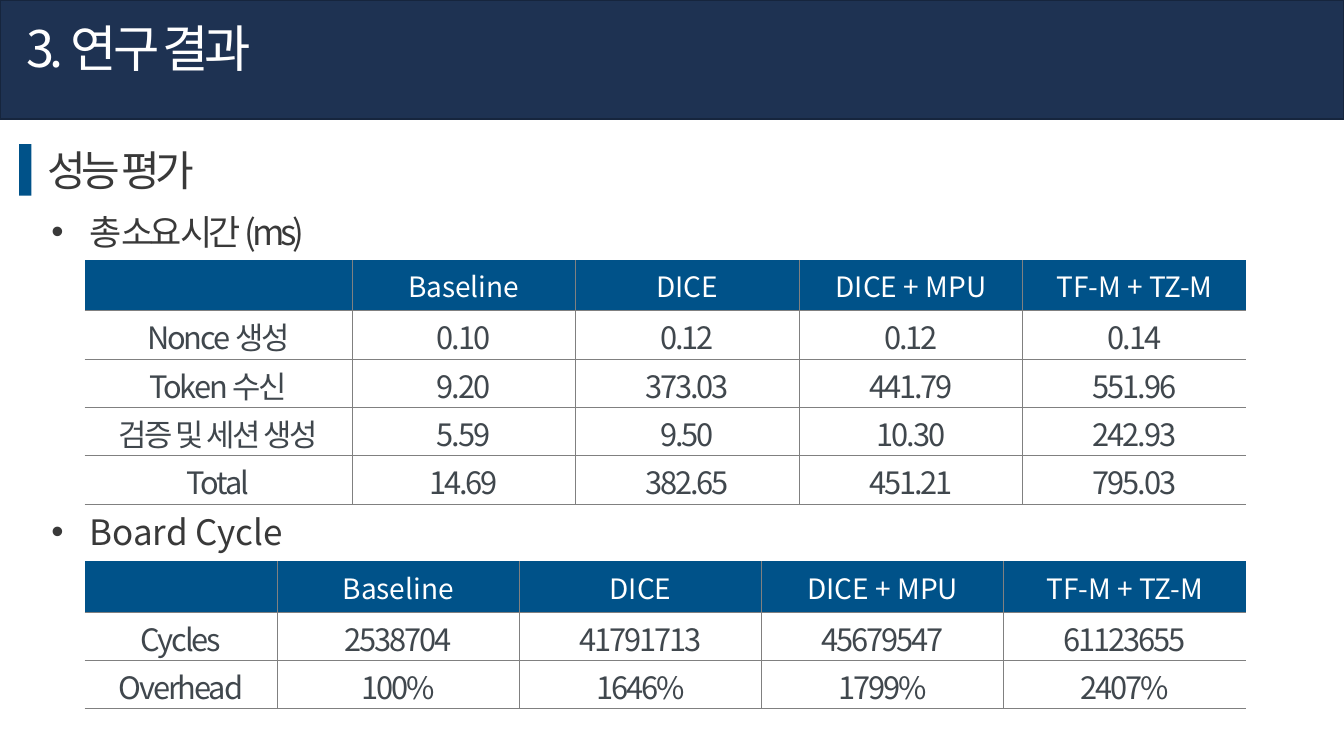
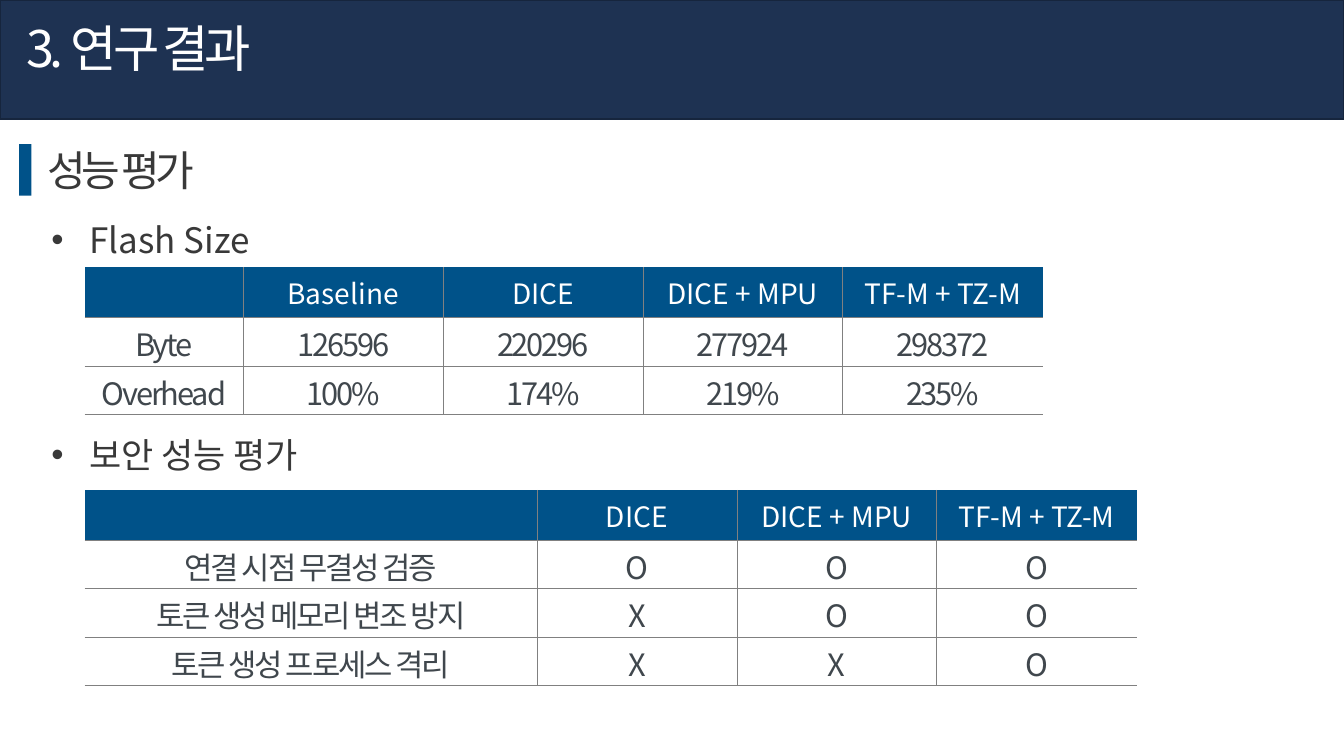
from dataclasses import dataclass

from lxml.etree import SubElement
from pptx import Presentation
from pptx.dml.color import RGBColor
from pptx.enum.shapes import MSO_SHAPE
from pptx.enum.text import MSO_ANCHOR, PP_ALIGN
from pptx.oxml.ns import qn
from pptx.util import Inches, Pt


@dataclass(frozen=True)
class Theme:
    font: str = "Noto Sans CJK KR"
    navy: str = "1E3252"
    navy_edge: str = "16253D"
    blue: str = "005289"
    white: str = "FFFFFF"
    heading: str = "393939"
    body: str = "40474D"
    rule: str = "808080"
    title_size: int = 36
    section_size: int = 30
    bullet_size: int = 25
    header_size: int = 20
    cell_size: int = 22
    tight: int = -300
    snug: int = -150
    normal: int = 0


theme = Theme()
presentation = Presentation()
presentation.slide_width = Inches(13.33)
presentation.slide_height = Inches(7.5)
column = presentation.slide_width / 100
row = presentation.slide_height / 100


def frame(left, top, width, height):
    return [int(left * column), int(top * row), int(width * column), int(height * row)]


def add_run(paragraph, text, size, color, spacing):
    run = paragraph.add_run()
    run.text = text
    run.font.size = Pt(size)
    run.font.name = theme.font
    run.font.color.rgb = RGBColor.from_string(color)
    properties = run.font._element
    properties.set("spc", str(spacing))
    SubElement(properties, qn("a:ea")).set("typeface", theme.font)


TEXT_WIDTH = 40
TABLE_LEFT = 6.3
HEADER_HEIGHT = 6.67
ROW_HEIGHT = 6.4
HEADERS = ["Baseline", "DICE", "DICE + MPU", "TF-M + TZ-M"]

headings = [
    ("성능 평가", (2.78, 18.4, TEXT_WIDTH, 8.13), theme.section_size, theme.heading, theme.tight, False),
    ("3. 연구 결과", (1.2, 1.6, TEXT_WIDTH, 9.47), theme.title_size, theme.white, theme.tight, False),
]
bands = [
    ((0, 0, 100, 15.73), theme.navy, theme.navy_edge),
    ((1.43, 19.07, 0.9, 6.8), theme.blue, None),
]
slides = [
    [
        {
            "caption": "총 소요 시간 (ms)", "caption_top": 27.2,
            "spacing": theme.tight, "top": 34.4, "widths": (19.88, 16.64),
            "rows": [
                ["", *HEADERS],
                ["Nonce 생성", "0.10", "0.12", "0.12", "0.14"],
                ["Token 수신", "9.20", "373.03", "441.79", "551.96"],
                ["검증 및 세션 생성", "5.59", "9.50", "10.30", "242.93"],
                ["Total", "14.69", "382.65", "451.21", "795.03"],
            ],
        },
        {
            "caption": "Board Cycle", "caption_top": 66.93,
            "spacing": theme.normal, "top": 74.27, "widths": (14.33, 18.02),
            "rows": [
                ["", *HEADERS],
                ["Cycles", "2538704", "41791713", "45679547", "61123655"],
                ["Overhead", "100%", "1646%", "1799%", "2407%"],
            ],
        },
    ],
    [
        {
            "caption": "Flash Size", "caption_top": 28.27,
            "spacing": theme.normal, "top": 35.33, "widths": (11.8, 14.87),
            "rows": [
                ["", *HEADERS],
                ["Byte", "126596", "220296", "277924", "298372"],
                ["Overhead", "100%", "174%", "219%", "235%"],
            ],
        },
        {
            "caption": "보안 성능 평가", "caption_top": 56.67,
            "spacing": theme.normal, "top": 64.8, "widths": (33.66, 14.87),
            "rows": [
                ["", *HEADERS[1:]],
                ["연결 시점 무결성 검증", "O", "O", "O"],
                ["토큰 생성 메모리 변조 방지", "X", "O", "O"],
                ["토큰 생성 프로세스 격리", "X", "X", "O"],
            ],
        },
    ],
]

for sections in slides:
    slide = presentation.slides.add_slide(presentation.slide_layouts[6])

    for position, fill, edge in bands:
        band = slide.shapes.add_shape(MSO_SHAPE.RECTANGLE, *frame(*position))
        band.shadow.inherit = False
        band.fill.solid()
        band.fill.fore_color.rgb = RGBColor.from_string(fill)
        if edge:
            band.line.color.rgb = RGBColor.from_string(edge)
            band.line.width = Pt(1)
        else:
            band.line.fill.background()

    captions = [
        (section["caption"], (3.08, section["caption_top"], TEXT_WIDTH, 6.93),
         theme.bullet_size, theme.heading, section["spacing"], True)
        for section in sections
    ]
    for text, position, size, color, spacing, bulleted in headings + captions:
        text_frame = slide.shapes.add_textbox(*frame(*position)).text_frame
        text_frame.word_wrap = True
        paragraph = text_frame.paragraphs[0]
        if bulleted:
            properties = paragraph._p.get_or_add_pPr()
            properties.set("marL", str(Inches(0.38)))
            properties.set("indent", str(-Inches(0.38)))
            SubElement(properties, qn("a:buFont")).set("typeface", "Arial")
            SubElement(properties, qn("a:buChar")).set("char", "•")
        add_run(paragraph, text, size, color, spacing)

    for section in sections:
        rows = section["rows"]
        first_width, other_width = section["widths"]
        last_row, last_column = len(rows) - 1, len(rows[0]) - 1
        position = frame(TABLE_LEFT, section["top"], first_width + other_width * last_column,
                         HEADER_HEIGHT + ROW_HEIGHT * last_row)
        table = slide.shapes.add_table(len(rows), len(rows[0]), *position).table
        table.first_row = False
        table.horz_banding = False
        for index, table_column in enumerate(table.columns):
            table_column.width = int((other_width if index else first_width) * column)
        for row_index, values in enumerate(rows):
            is_header = row_index == 0
            table.rows[row_index].height = int((HEADER_HEIGHT if is_header else ROW_HEIGHT) * row)
            for column_index, value in enumerate(values):
                cell = table.cell(row_index, column_index)
                cell.vertical_anchor = MSO_ANCHOR.MIDDLE
                if not is_header:
                    cell.margin_top, cell.margin_bottom = Pt(2.5), 0
                paragraph = cell.text_frame.paragraphs[0]
                paragraph.alignment = PP_ALIGN.CENTER
                if value and is_header:
                    add_run(paragraph, value, theme.header_size, theme.white, theme.normal)
                elif value:
                    add_run(paragraph, value, theme.cell_size, theme.body, theme.snug)
                borders = {
                    "a:lnL": column_index > 0,
                    "a:lnR": column_index < last_column,
                    "a:lnT": row_index > 0,
                    "a:lnB": True,
                }
                properties = cell._tc.get_or_add_tcPr()
                for tag, visible in borders.items():
                    border = SubElement(properties, qn(tag), w=str(Pt(0.5)))
                    if visible:
                        fill = SubElement(border, qn("a:solidFill"))
                        SubElement(fill, qn("a:srgbClr")).set("val", theme.rule)
                    else:
                        SubElement(border, qn("a:noFill"))
                cell.fill.solid()
                cell.fill.fore_color.rgb = RGBColor.from_string(theme.blue if is_header else theme.white)

presentation.save("out.pptx")
